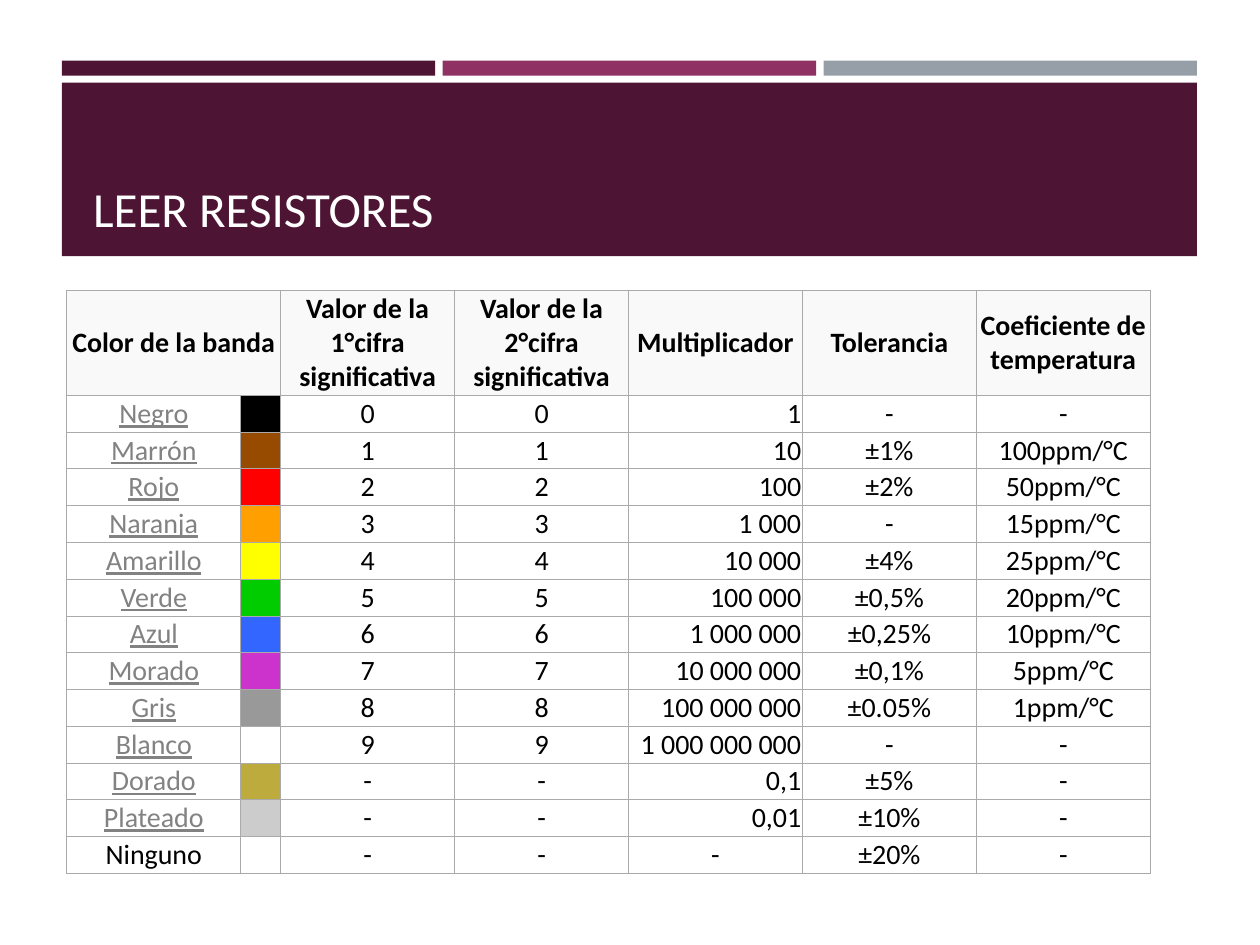
from lxml import etree
from pptx import Presentation
from pptx.dml.color import RGBColor
from pptx.enum.shapes import MSO_SHAPE
from pptx.enum.text import MSO_ANCHOR, PP_ALIGN
from pptx.oxml.ns import qn
from pptx.util import Pt

RECT = MSO_SHAPE.RECTANGLE
MIDDLE, BOTTOM = MSO_ANCHOR.MIDDLE, MSO_ANCHOR.BOTTOM
LEFT, CENTER, RIGHT = PP_ALIGN.LEFT, PP_ALIGN.CENTER, PP_ALIGN.RIGHT

# Content
TITLE = "LEER RESISTORES"
HEADERS = ["Color de la banda", "", "Valor de la 1°cifra significativa",
           "Valor de la 2°cifra significativa", "Multiplicador", "Tolerancia",
           "Coeficiente de temperatura"]
# Name, swatch, digit (both digit columns), multiplier, tolerance, coefficient
BANDS = [
    ("Negro", "000000", "0", "1", "-", "-"),
    ("Marrón", "964B00", "1", "10", "±1%", "100ppm/°C"),
    ("Rojo", "FF0000", "2", "100", "±2%", "50ppm/°C"),
    ("Naranja", "FFA000", "3", "1 000", "-", "15ppm/°C"),
    ("Amarillo", "FFFF00", "4", "10 000", "±4%", "25ppm/°C"),
    ("Verde", "00CC00", "5", "100 000", "±0,5%", "20ppm/°C"),
    ("Azul", "3366FF", "6", "1 000 000", "±0,25%", "10ppm/°C"),
    ("Morado", "CC33CC", "7", "10 000 000", "±0,1%", "5ppm/°C"),
    ("Gris", "999999", "8", "100 000 000", "±0.05%", "1ppm/°C"),
    ("Blanco", "FFFFFF", "9", "1 000 000 000", "-", "-"),
    ("Dorado", "BDAC3D", "-", "0,1", "±5%", "-"),
    ("Plateado", "CCCCCC", "-", "0,01", "±10%", "-"),
    ("Ninguno", "FFFFFF", "-", "-", "±20%", "-"),
]

# Style and layout, in points
COLORS = {"plum": "4D1434", "berry": "903163", "slate": "969FA7",
          "header": "F9F9F9", "white": "FFFFFF", "text": "000000",
          "link": "828282", "border": "AAAAAA"}
FONT = "Calibri"
BAND_LEFT, BAND_WIDTH, BAR_GAP = 35.3, 648.7, 4.3
TABLE_LEFT, TABLE_TOP = 38.2, 165.8
COL_WIDTHS = [99.4, 22.8] + [99.4] * 5
ROW_HEIGHTS = [60] + [21] * len(BANDS)


def rgb(name):
    return RGBColor.from_string(COLORS.get(name, name))


def add_rect(s, left, top, width, height, color):
    sp = s.shapes.add_shape(RECT, Pt(left), Pt(top), Pt(width), Pt(height))
    sp.shadow.inherit = False
    sp.fill.solid()
    sp.fill.fore_color.rgb = rgb(color)
    sp.line.fill.background()


def add_borders(cell):
    tc_pr = cell._tc.get_or_add_tcPr()
    for i, side in enumerate(("a:lnL", "a:lnR", "a:lnT", "a:lnB")):
        ln = etree.Element(qn(side), w=str(Pt(0.5)))
        fill = etree.SubElement(ln, qn("a:solidFill"))
        etree.SubElement(fill, qn("a:srgbClr"), val=COLORS["border"])
        tc_pr.insert(i, ln)


def format_cell(cell, text, fill, align=CENTER, color="text", bold=False, underline=False):
    cell.margin_left = cell.margin_right = Pt(0.72)
    cell.margin_top = cell.margin_bottom = Pt(0.72)
    cell.vertical_anchor = MIDDLE
    cell.fill.solid()
    cell.fill.fore_color.rgb = rgb(fill)
    add_borders(cell)
    p = cell.text_frame.paragraphs[0]
    p.alignment = align
    if text:
        p.text = text
        font = p.font
        font.name, font.size = FONT, Pt(16)
        font.bold, font.underline = bold, underline
        font.color.rgb = rgb(color)
    else:  # keeps an empty cell from stretching its row
        etree.SubElement(p._p, qn("a:endParaRPr"), sz="1600")


prs = Presentation()
prs.slide_width, prs.slide_height = Pt(720), Pt(540)
s = prs.slides.add_slide(prs.slide_layouts[5])

# Three bars above the title band
bar_colors = ("plum", "berry", "slate")
bar_width = (BAND_WIDTH - 2 * BAR_GAP) / 3
for i, color in enumerate(bar_colors):
    add_rect(s, BAND_LEFT + i * (bar_width + BAR_GAP), 34.7, bar_width, 8.5, color)
add_rect(s, BAND_LEFT, 47.3, BAND_WIDTH, 99.1, "plum")

# Title, brought in front of its band
title = s.shapes.title
title.left, title.top, title.width, title.height = Pt(46), Pt(54), Pt(629), Pt(85)
title._element.getparent().append(title._element)
tf = title.text_frame
tf.vertical_anchor = BOTTOM
tf.text = TITLE
p = tf.paragraphs[0]
p.alignment = LEFT
p.font.name, p.font.size = FONT, Pt(28)
p.font.color.rgb = rgb("white")

# Colour code table
table = s.shapes.add_table(len(ROW_HEIGHTS), len(COL_WIDTHS), Pt(TABLE_LEFT), Pt(TABLE_TOP),
                           Pt(sum(COL_WIDTHS)), Pt(sum(ROW_HEIGHTS))).table
table.first_row = table.horz_banding = False
for col, width in zip(table.columns, COL_WIDTHS):
    col.width = Pt(width)
for row, height in zip(table.rows, ROW_HEIGHTS):
    row.height = Pt(height)

for c, text in enumerate(HEADERS):
    format_cell(table.cell(0, c), text, "header", bold=True)
table.cell(0, 0).merge(table.cell(0, 1))

for r, (name, swatch, digit, multiplier, tolerance, coefficient) in enumerate(BANDS, 1):
    linked = name != "Ninguno"
    format_cell(table.cell(r, 0), name, "white",
                color="link" if linked else "text", underline=linked)
    format_cell(table.cell(r, 1), "", swatch)
    for c, text in enumerate((digit, digit, multiplier, tolerance, coefficient), 2):
        align = RIGHT if c == 4 and linked else CENTER
        format_cell(table.cell(r, c), text, "white", align)

prs.save("out.pptx")
